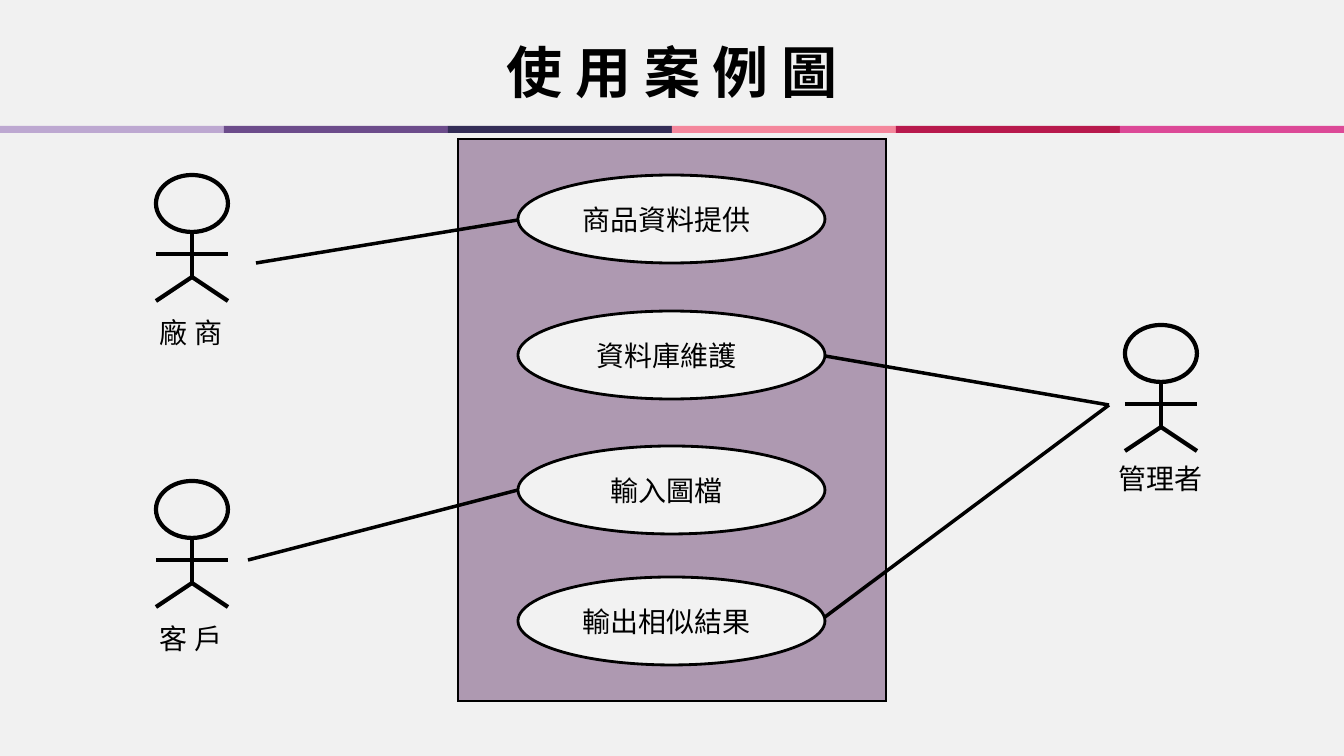
import pptx
import pptx.util
import pptx.dml.color
import pptx.enum.shapes
import pptx.enum.text
import pptx.oxml
import pptx.oxml.ns
import lxml.etree
import dataclasses

PX = 12192000 / 1344  # EMU in one px
SHAPE = pptx.enum.shapes.MSO_SHAPE
ALIGN = pptx.enum.text.PP_ALIGN
MIDDLE = pptx.enum.text.MSO_ANCHOR.MIDDLE


@dataclasses.dataclass(frozen=True)
class Theme:
    font: str = "Noto Sans CJK SC"
    ink: str = "000000"
    page: str = "F1F1F1"
    system: str = "AE99B1"
    use_case: str = "F2F2F2"
    stripes: tuple = ("BDA8D1", "6C4C8B", "342D57", "F4879C", "B81A4D", "DC4997")
    title_size: int = 40
    text_size: int = 20
    border: float = 1
    outline: float = 2
    link: float = 2.5
    figure: float = 3


THEME = Theme()

# Use case name and top edge
USE_CASES = [("商品資料提供", 175), ("資料庫維護", 311), ("輸入圖檔", 446), ("輸出相似結果", 577)]
CASE_LEFT, CASE_WIDTH, CASE_HEIGHT = 518, 307, 88

# Actor name, left and top of the head, label offset and label width
ACTORS = [
    ("廠 商", 156, 175, (-6, 136), 98),
    ("客 戶", 156, 481, (-6, 136), 98),
    ("管理者", 1125, 325, (-16, 132), 110),
]

# Ends of the links between actors and use cases
LINKS = [
    ((256, 263), (518, 220)),
    ((248, 560), (518, 490)),
    ((825, 356), (1109, 405)),
    ((825, 617), (1109, 405)),
]


def px(*lengths):
    return [pptx.util.Emu(round(length * PX)) for length in lengths]


def rgb(value):
    return pptx.dml.color.RGBColor.from_string(value)


def write(frame, words, size, align=ALIGN.LEFT, bold=False):
    frame.word_wrap = True
    paragraph = frame.paragraphs[0]
    paragraph.text = words
    paragraph.alignment = align
    font = paragraph.font
    font.name = THEME.font
    font.size = pptx.util.Pt(size)
    font.bold = bold
    font.color.rgb = rgb(THEME.ink)
    # The East Asian face needs its own element beside the Latin one
    latin = paragraph._p.pPr.find(".//" + pptx.oxml.ns.qn("a:latin"))
    east_asian = latin.makeelement(pptx.oxml.ns.qn("a:ea"), {"typeface": THEME.font})
    latin.addnext(east_asian)


def add_block(shapes, kind, box, fill=None, outline=None):
    block = shapes.add_shape(kind, *px(*box))
    block.shadow.inherit = False
    if fill:
        block.fill.solid()
        block.fill.fore_color.rgb = rgb(fill)
    else:
        block.fill.background()
    if outline:
        block.line.color.rgb = rgb(THEME.ink)
        block.line.width = pptx.util.Pt(outline)
    else:
        block.line.fill.background()
    return block


def add_stroke(shapes, start, end, width):
    stroke = shapes.add_connector(
        pptx.enum.shapes.MSO_CONNECTOR.STRAIGHT, *px(*start, *end))
    stroke.line.color.rgb = rgb(THEME.ink)
    stroke.line.width = pptx.util.Pt(width)
    lxml.etree.SubElement(stroke._element.spPr, pptx.oxml.ns.qn("a:effectLst"))


def add_title(slide, words):
    title = slide.shapes.title
    title.left, title.top, title.width, title.height = px(458, 32, 428, 78)
    title.text_frame.vertical_anchor = MIDDLE
    write(title.text_frame, words, THEME.title_size, ALIGN.CENTER, bold=True)


def add_stripes(slide):
    width = 1344 // len(THEME.stripes)
    stripes = slide.shapes.add_group_shape()
    for index, colour in enumerate(THEME.stripes):
        add_block(stripes.shapes, SHAPE.RECTANGLE, (index * width, 126, width, 7), colour)


def add_system(slide):
    table = slide.shapes.add_table(1, 1, *px(458, 139, 428, 562)).table
    table.first_row = table.horz_banding = False
    cell = table.cell(0, 0)
    properties = cell._tc.get_or_add_tcPr()
    for side in ("lnL", "lnR", "lnT", "lnB"):
        properties.append(pptx.oxml.parse_xml(
            f'<a:{side} {pptx.oxml.ns.nsdecls("a")} w="{pptx.util.Pt(THEME.border)}">'
            f'<a:solidFill><a:srgbClr val="{THEME.ink}"/></a:solidFill></a:{side}>'))
    cell.fill.solid()
    cell.fill.fore_color.rgb = rgb(THEME.system)


def add_use_case(slide, name, top):
    case = add_block(slide.shapes, SHAPE.OVAL, (CASE_LEFT, top, CASE_WIDTH, CASE_HEIGHT),
                     THEME.use_case, THEME.outline)
    frame = case.text_frame
    frame.vertical_anchor = MIDDLE
    frame.margin_left, frame.margin_right = px(6, 16)
    write(frame, name, THEME.text_size, ALIGN.CENTER)


def add_actor(slide, name, left, top, label_offset, label_width):
    actor = slide.shapes.add_group_shape().shapes
    middle, right = left + 36, left + 72
    neck, arms, hips, feet = top + 57, top + 79, top + 102, top + 126
    add_block(actor, SHAPE.OVAL, (left, top, 72, 57), outline=THEME.figure)
    limbs = [
        ((middle, neck), (middle, hips)),
        ((left, arms), (right, arms)),
        ((middle, hips), (left, feet)),
        ((middle, hips), (right, feet)),
    ]
    for start, end in limbs:
        add_stroke(actor, start, end, THEME.figure)
    across, down = label_offset
    label = actor.add_textbox(*px(left + across, top + down, label_width, 44))
    write(label.text_frame, name, THEME.text_size)


def main():
    deck = pptx.Presentation()
    deck.slide_width, deck.slide_height = px(1344, 756)
    slide = deck.slides.add_slide(deck.slide_layouts[5])
    slide.background.fill.solid()
    slide.background.fill.fore_color.rgb = rgb(THEME.page)

    # Heading
    add_stripes(slide)
    add_title(slide, "使 用 案 例 圖")

    # System boundary with its use cases
    add_system(slide)
    for name, top in USE_CASES:
        add_use_case(slide, name, top)

    # Actors and their links
    for actor in ACTORS:
        add_actor(slide, *actor)
    for start, end in LINKS:
        add_stroke(slide.shapes, start, end, THEME.link)

    deck.save("out.pptx")


if __name__ == "__main__":
    main()
